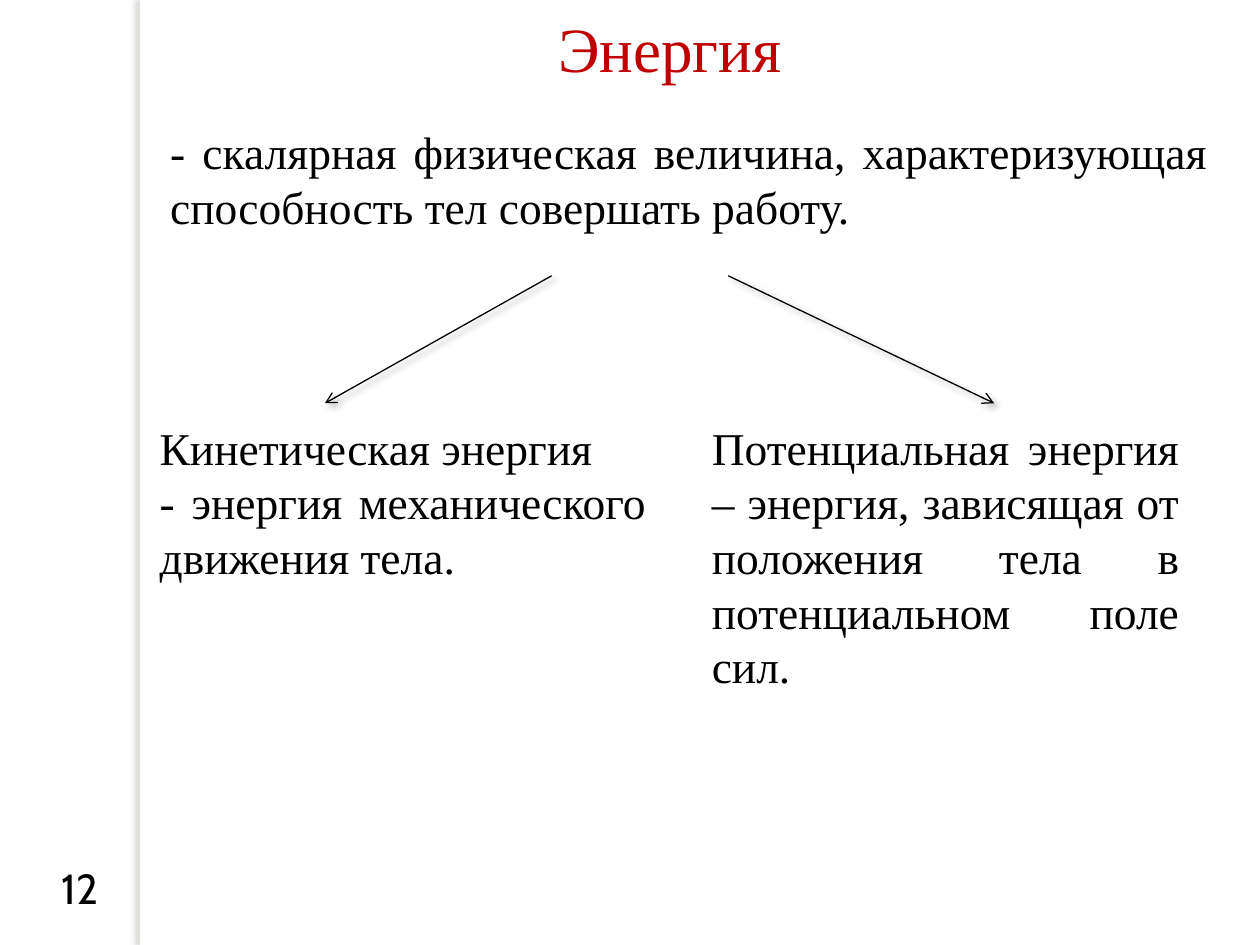
from lxml import etree
from pptx import Presentation
from pptx import util as u
from pptx.dml import color
from pptx.enum import shapes, text
from pptx.oxml import ns

SERIF = "Times New Roman"
BLACK, WHITE, RED = "000000", "FFFFFF", "C00000"
ALIGN = text.PP_ALIGN


def rgb(value):
    return color.RGBColor.from_string(value)


def cm(*values):
    return [u.Cm(v) for v in values]


def add_shadow(shape, value, alpha, blur, dist, angle):
    """Outer shadow: opacity in percent, blur and distance in points."""
    effects = etree.SubElement(shape._element.spPr, ns.qn("a:effectLst"))
    shadow = etree.SubElement(
        effects, ns.qn("a:outerShdw"), blurRad=str(u.Pt(blur)),
        dist=str(u.Pt(dist)), dir=str(angle * 60000), algn="tl", rotWithShape="0")
    clr = etree.SubElement(shadow, ns.qn("a:srgbClr"), val=value)
    etree.SubElement(clr, ns.qn("a:alpha"), val=str(alpha * 1000))


def add_text(s, box, lines, size=26, font=SERIF, fill=BLACK,
             align=ALIGN.JUSTIFY, wrap=True, anchor=text.MSO_ANCHOR.TOP):
    tf = s.shapes.add_textbox(*cm(*box)).text_frame
    tf.word_wrap = wrap
    tf.vertical_anchor = anchor
    for i, line in enumerate(lines):
        p = tf.paragraphs[0] if i == 0 else tf.add_paragraph()
        p.text = line
        p.alignment = align
        p.font.size = u.Pt(size)
        p.font.name = font
        p.font.color.rgb = rgb(fill)


def add_arrow(s, start, end):
    line = s.shapes.add_connector(
        shapes.MSO_CONNECTOR.STRAIGHT, *cm(*start, *end))
    line.line.color.rgb = rgb(BLACK)
    line.line.width = u.Pt(0.75)
    etree.SubElement(line.line._get_or_add_ln(), ns.qn("a:tailEnd"), type="arrow")
    add_shadow(line, BLACK, 40, 4, 3, 45)


def side_strip(s, left, top, width, height, number):
    # Vertical edge with a soft shadow, slide number to its left
    edge = s.shapes.add_shape(
        shapes.MSO_SHAPE.RECTANGLE, *cm(left, top, width, height))
    edge.fill.solid()
    edge.fill.fore_color.rgb = rgb(WHITE)
    edge.line.fill.background()
    add_shadow(edge, "736F63", 25, 3, 3, 180)
    add_text(s, (left - 1.83, top + height - 1.78, 1.32, 1.3), [number],
             size=24, font="Cabin", align=ALIGN.LEFT, wrap=False)


def heading(s, left, top, width, title, definition):
    # Title with the definition below it
    add_text(s, (left, top, width, 1.9), [title], size=36, fill=RED,
             align=ALIGN.CENTER, anchor=text.MSO_ANCHOR.MIDDLE)
    add_text(s, (left + 0.79, top + 2.38, width - 0.79, 2.49), [definition])


def branches(s, left, top, kinds):
    # One arrow and one text per kind of energy
    for (x, width, height), (start, end), lines in kinds:
        add_arrow(s, (left + start, top), (left + end, top + 2.57))
        add_text(s, (left + x, top + 2.78, width, height), lines)


prs = Presentation()
prs.slide_width, prs.slide_height = cm(25.4, 19.05)
s = prs.slides.add_slide(prs.slide_layouts[6])

side_strip(s, 2.82, 0, 0.2, 19.05, "12")
heading(s, 2.39, 0, 22.22, "Энергия",
        "- скалярная физическая величина, характеризующая "
        "способность тел совершать работу.")
branches(s, 2.97, 5.56, [
    ((0, 10.31, 3.58), (8.15, 3.58),
     ["Кинетическая энергия", "- энергия механического движения тела."]),
    ((11.13, 9.93, 5.82), (11.71, 17.07),
     ["Потенциальная энергия – энергия, зависящая от "
      "положения тела в потенциальном поле сил."]),
])

prs.save("out.pptx")
